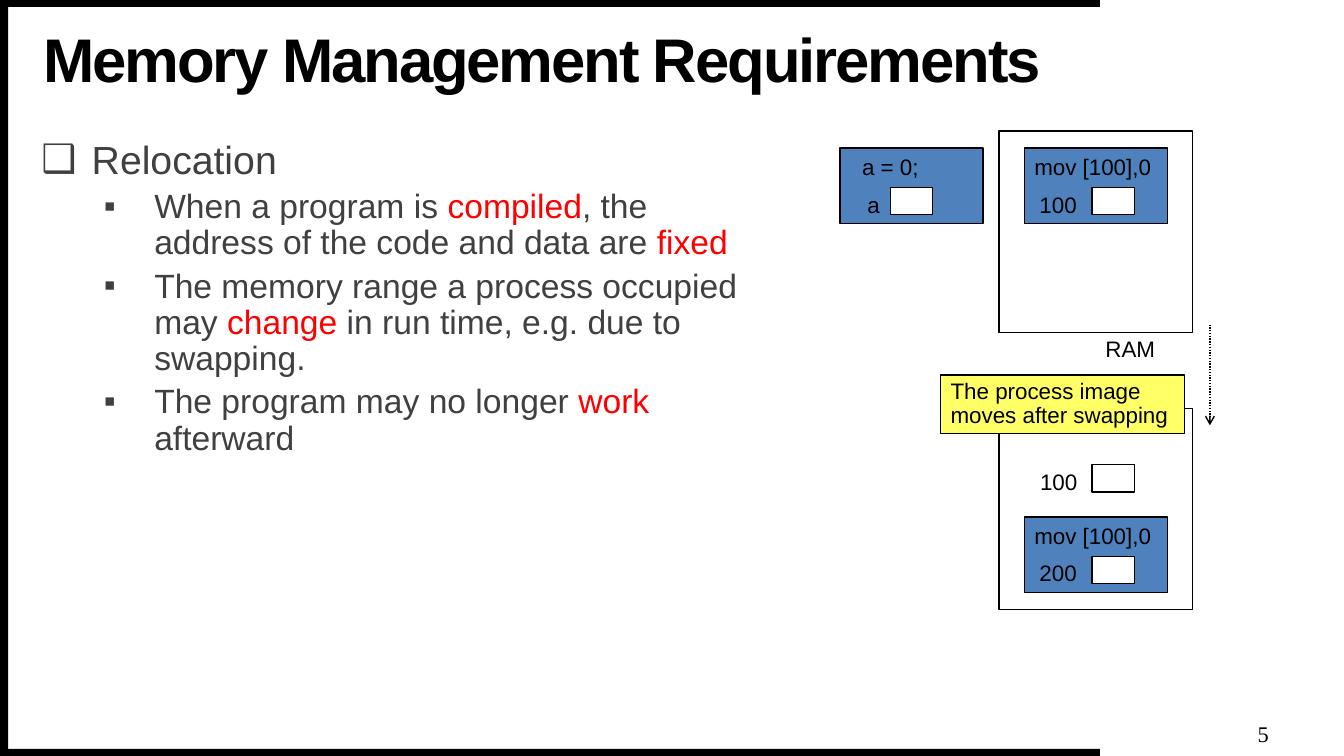
from lxml import etree
from pptx import Presentation
from pptx import util as u
from pptx.dml.color import RGBColor
from pptx.enum import dml, shapes, text
from pptx.oxml.ns import qn

PX = 9144
COLORS = {
    "black": "000000",
    "white": "FFFFFF",
    "gray": "404040",
    "red": "FF0000",
    "blue": "4F81BD",
    "yellow": "FFFF66",
}
CENTER = text.PP_ALIGN.CENTER
LEFT = text.PP_ALIGN.LEFT
TOP = text.MSO_ANCHOR.TOP
MIDDLE = text.MSO_ANCHOR.MIDDLE

deck = Presentation()
deck.slide_width = 1333 * PX
deck.slide_height = 750 * PX
page = deck.slides.add_slide(deck.slide_layouts[6])


def add_box(area, fill=None, line=None):
    place = [n * PX for n in area]
    if fill is None:
        return page.shapes.add_textbox(*place)
    box = page.shapes.add_shape(shapes.MSO_SHAPE.RECTANGLE, *place)
    box.shadow.inherit = False
    box.fill.solid()
    box.fill.fore_color.rgb = RGBColor.from_string(COLORS[fill])
    if line:
        box.line.color.rgb = RGBColor.from_string(COLORS[line])
        box.line.width = u.Pt(1)
    else:
        box.line.fill.background()
    return box


def write(box, spans, size, align=LEFT, anchor=MIDDLE, insets=(0, 0, 0, 0),
          wrap=True, spacing=1.0, font="Arial", bold=False, para=None):
    frame = box.text_frame
    sides = ("margin_left", "margin_top", "margin_right", "margin_bottom")
    layout = {side: n * PX for side, n in zip(sides, insets)}
    layout.update(word_wrap=wrap, vertical_anchor=anchor)
    for name, value in layout.items():
        setattr(frame, name, value)
    para = para or frame.paragraphs[0]
    para.alignment = align
    para.line_spacing = spacing
    for words, color in spans:
        span = para.add_run()
        span.text = words
        for name, value in {"size": u.Pt(size), "name": font, "bold": bold}.items():
            setattr(span.font, name, value)
        span.font.color.rgb = RGBColor.from_string(COLORS[color])
    return para


for area in ((0, 743, 1091, 7), (0, 0, 1091, 7), (0, 3, 8, 747)):
    add_box(area, "black")

title = write(add_box((43, 25, 1006, 74)),
              [("Memory Management Requirements", "black")],
              44, spacing=0.9, bold=True)
title.runs[0].font._element.set("spc", "-150")

points = [
    [("Relocation", "gray")],
    [("When a program is ", "gray"), ("compiled", "red"),
     (", the address of the code and data are ", "gray"), ("fixed", "red")],
    [("The memory range a process occupied may ", "gray"), ("change", "red"),
     (" in run time, e.g. due to swapping.", "gray")],
    [("The program may no longer ", "gray"), ("work", "red"),
     (" afterward", "gray")],
]
body = add_box((41, 139, 718, 512))
for number, spans in enumerate(points):
    if number:
        para = body.text_frame.add_paragraph()
        para.level, para.space_before = 1, u.Pt(5)
        size, margin, mark = 24, 112, "▪"
    else:
        para = body.text_frame.paragraphs[0]
        size, margin, mark = 28, 50, "❑"
    write(body, spans, size, anchor=TOP, spacing=0.9, para=para)
    props = para._p.get_or_add_pPr()
    props.set("marL", str(margin * PX))
    props.set("indent", str(-50 * PX))
    etree.SubElement(props, qn("a:buFont")).set("typeface", "Arial")
    etree.SubElement(props, qn("a:buChar")).set("char", mark)

write(add_box((1238, 713, 30, 30)), [("5", "black")], 16, CENTER,
      font="Times New Roman")

for top in (130, 405):
    add_box((991, top, 192, 200), "white", "black")

programs = [
    (833, 147, "a = 0;", 22, "a", 17, 50),
    (1016, 147, "mov [100],0", 10, "100", 17, 67),
    (1016, 513, "mov [100],0", 10, "200", 17, 67),
]
for left, top, code, inset, label, label_x, cell_x in programs:
    write(add_box((left, top, 142, 75), "blue", "black"), [(code, "black")],
          16, anchor=TOP, insets=(inset, 5, 0, 5))
    add_box((left + cell_x, top + 39, 42, 27), "white", "black")
    write(add_box((left + label_x, top + 47, 33, 17), "blue"),
          [(label, "black")], 16, CENTER, wrap=False)

add_box((1083, 461, 42, 27), "white", "black")
write(add_box((1020, 465, 60, 25)), [("100", "black")], 16, CENTER)

write(add_box((933, 372, 242, 58), "yellow", "black"),
      [("The process image moves after swapping", "black")],
      16, insets=(10, 5, 10, 5), spacing=0.9)

write(add_box((1075, 330, 92, 32)), [("RAM", "black")], 16, CENTER,
      insets=(10, 5, 10, 5))

arrow = page.shapes.add_connector(shapes.MSO_CONNECTOR.STRAIGHT,
                                  1200 * PX, 322 * PX, 1200 * PX, 422 * PX)
arrow.line.color.rgb = RGBColor.from_string(COLORS["black"])
arrow.line.width = u.Pt(1)
arrow.line.dash_style = dml.MSO_LINE.ROUND_DOT
etree.SubElement(arrow.line._get_or_add_ln(), qn("a:tailEnd")).set("type", "arrow")
etree.SubElement(arrow._element.spPr, qn("a:effectLst"))

deck.save("out.pptx")
